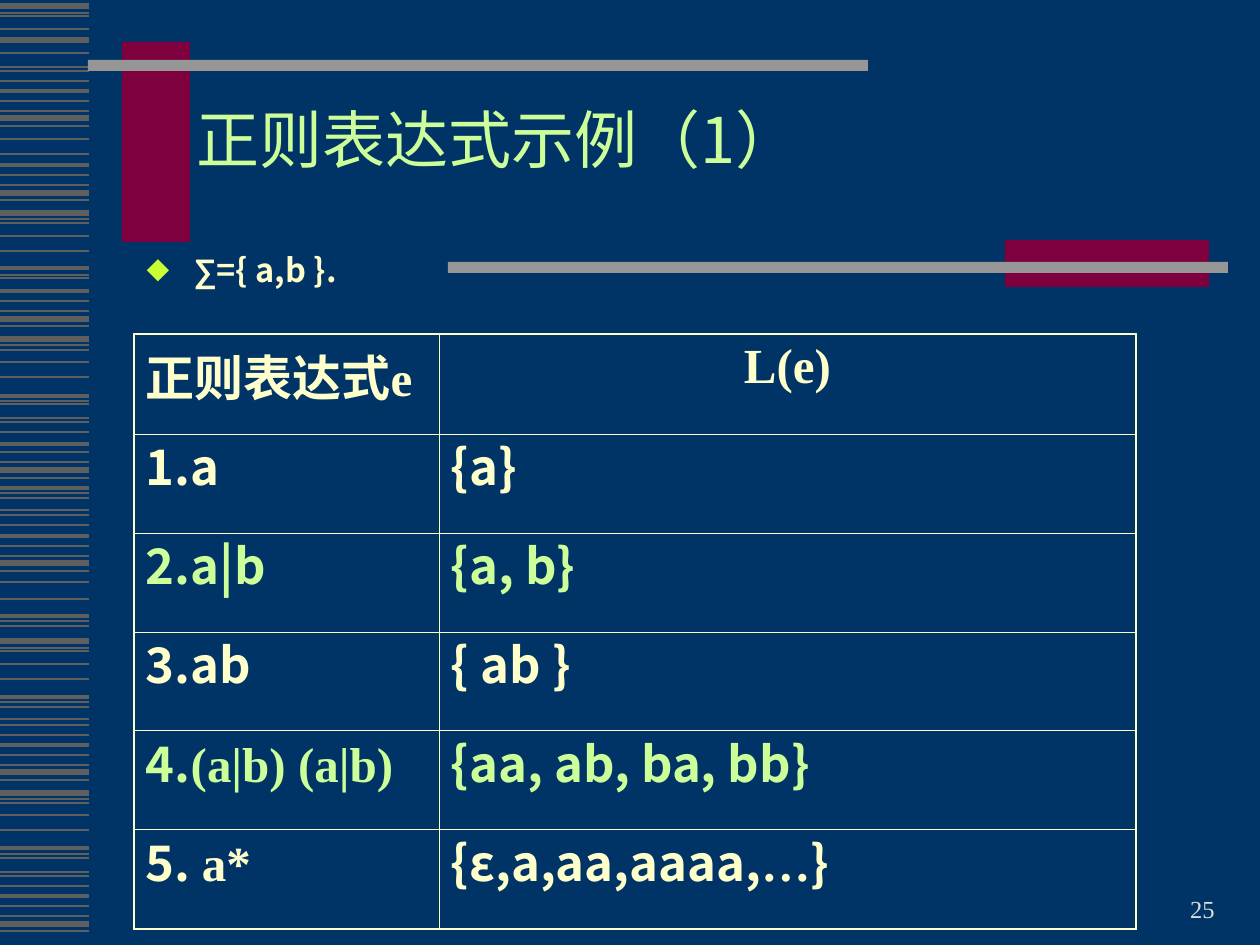
from lxml.etree import SubElement
from pptx import Presentation
from pptx.dml.color import RGBColor
from pptx.enum.shapes import MSO_CONNECTOR as CONNECTOR, MSO_SHAPE as SHAPE
from pptx.enum.text import MSO_ANCHOR as ANCHOR, MSO_AUTO_SIZE as AUTO_SIZE, PP_ALIGN as ALIGN
from pptx.oxml.ns import qn
from pptx.util import Emu, Pt

NAVY = RGBColor(0x00, 0x33, 0x66)
STRIPE = RGBColor(0x5F, 0x5F, 0x5F)
WINE = RGBColor(0x7E, 0x00, 0x3F)
GREY = RGBColor(0x96, 0x96, 0x96)
SILVER = RGBColor(0xDD, 0xDD, 0xDD)
CREAM = RGBColor(0xFF, 0xFF, 0xCC)
GREEN = RGBColor(0xCC, 0xFF, 0x99)
LIME = RGBColor(0xCC, 0xFF, 0x33)
SANS, SERIF, ARIAL = "Noto Sans CJK SC", "Times New Roman", "Arial"


def px(length):
    return Emu(round(length * 914400 / 126))


def write(frame, *spans, size, color, bold=False, align=ALIGN.LEFT, spacing=1.0, before=0):
    """Fill the first paragraph with (text, font) spans and return it."""
    para = frame.paragraphs[0]
    para.alignment, para.line_spacing, para.space_before = align, spacing, Pt(before)
    for text, font in spans:
        span = para.add_run()
        span.text = text
        span.font.name, span.font.size, span.font.bold = font, Pt(size), bold
        span.font.color.rgb = color
        SubElement(span.font._element, qn("a:ea"), typeface=SANS)
    return para


deck = Presentation()
deck.slide_width, deck.slide_height = px(1260), px(945)
page = deck.slides.add_slide(deck.slide_layouts[1])
page.background.fill.solid()
page.background.fill.fore_color.rgb = NAVY

# Stripes down the left edge: line width in points -> heights
stripes = {
    0.75: [13, 67, 111, 185, 219, 275, 311, 345, 401, 418, 462, 493, 510, 556, 621, 648,
           702, 719, 765, 799, 854, 872, 916],
    1: [16, 29, 81, 139, 154, 223, 236, 251, 350, 362, 377, 432, 525, 582, 599, 651,
        664, 679, 735, 803, 815, 830, 886],
    1.5: [53, 71, 101, 126, 175, 200, 278, 301, 326, 404, 422, 452, 478, 498, 515, 546,
          571, 626, 707, 725, 755, 780, 858, 876, 906, 931],
    2.25: [91, 165, 268, 291, 396, 444, 488, 536, 616, 697, 745, 848, 896],
    3: [6, 40, 118, 193, 213, 319, 339, 470, 563, 641, 772, 793, 924],
}
for width, heights in stripes.items():
    for y in heights:
        stripe = page.shapes.add_connector(CONNECTOR.STRAIGHT, 0, px(y), px(89), px(y))
        stripe.line.color.rgb, stripe.line.width = STRIPE, Pt(width)
        SubElement(stripe._element.spPr, qn("a:effectLst"))

# Wine blocks crossed by grey bars
for x, y, width, height, color in [
    (122, 42, 68, 200, WINE), (88, 60, 780, 11, GREY),
    (1005, 240, 204, 47, WINE), (448, 262, 780, 11, GREY),
]:
    bar = page.shapes.add_shape(SHAPE.RECTANGLE, px(x), px(y), px(width), px(height))
    bar.shadow.inherit = False
    bar.fill.solid()
    bar.fill.fore_color.rgb = color
    bar.line.fill.background()

# Title, list and page number
title, body = page.placeholders
number = page.shapes.add_textbox(0, 0, 0, 0)
for box, x, y, width, height, anchor in [
    (title, 184, 66, 1071, 157, ANCHOR.MIDDLE),
    (body, 134, 254, 525, 79, ANCHOR.TOP),
    (number, 925, 867, 302, 63, ANCHOR.BOTTOM),
]:
    box.left, box.top, box.width, box.height = px(x), px(y), px(width), px(height)
    box.text_frame.word_wrap = True
    box.text_frame.auto_size = AUTO_SIZE.NONE
    box.text_frame.vertical_anchor = anchor
write(title.text_frame, ("正则表达式示例（1）", SANS), size=36, color=GREEN, spacing=0.85)
write(number.text_frame, ("25", SERIF), size=14, color=SILVER, align=ALIGN.RIGHT)
item = write(body.text_frame, ("∑", ARIAL), ("={ a,b }.", SANS),
             size=18.6, color=CREAM, bold=True, spacing=0.7, before=6)
props = item._p.get_or_add_pPr()
props.set("marL", str(px(47)))
props.set("indent", str(-px(47)))
SubElement(SubElement(props, qn("a:buClr")), qn("a:srgbClr"), val=str(LIME))
SubElement(props, qn("a:buChar"), char="⬥")

# Table of expressions and their languages
rows = [
    ([("正则表达式e", SERIF)], [("L(e)", SERIF)]),
    ([("1.a", SANS)], [("{a}", SANS)]),
    ([("2.a|b", SANS)], [("{a, b}", SANS)]),
    ([("3.ab", SANS)], [("{ ab }", SANS)]),
    ([("4.", SANS), ("(a|b) (a|b)", SERIF)], [("{aa, ab, ba, bb}", SANS)]),
    ([("5. ", SANS), ("a*", SERIF)],
     [("{ε,a,aa,aaaa,", SANS), ("…", SERIF), ("}", SANS)]),
]
table = page.shapes.add_table(len(rows), 2, px(134), px(334), px(1002), px(595)).table
table.first_row = table.horz_banding = False
table.columns[0].width, table.columns[1].width = px(305), px(697)
for r, row in enumerate(rows):
    table.rows[r].height = px(99 if r else 100)
    for c, spans in enumerate(row):
        cell = table.cell(r, c)
        cell.fill.background()
        cell.margin_left, cell.margin_right = px(12), px(12 if c else 4)
        cell.margin_top = cell.margin_bottom = px(6)
        write(cell.text_frame, *spans, size=28, bold=True,
              color=GREEN if r in (2, 4) else CREAM,
              align=ALIGN.CENTER if (r, c) == (0, 1) else ALIGN.LEFT,
              spacing=0.8 if r else 1.0, before=17.5 if r else 7)
        # Thick outer frame, thin inner rules
        sides = {"lnL": c == 0, "lnR": c == 1, "lnT": r == 0, "lnB": r == len(rows) - 1}
        cell_props = cell._tc.get_or_add_tcPr()
        for place, (side, outer) in enumerate(sides.items()):
            border = SubElement(cell_props, qn("a:" + side), w=str(Pt(1.08 if outer else 0.45)))
            SubElement(SubElement(border, qn("a:solidFill")), qn("a:srgbClr"), val=str(CREAM))
            cell_props.insert(place, border)

deck.save("out.pptx")
